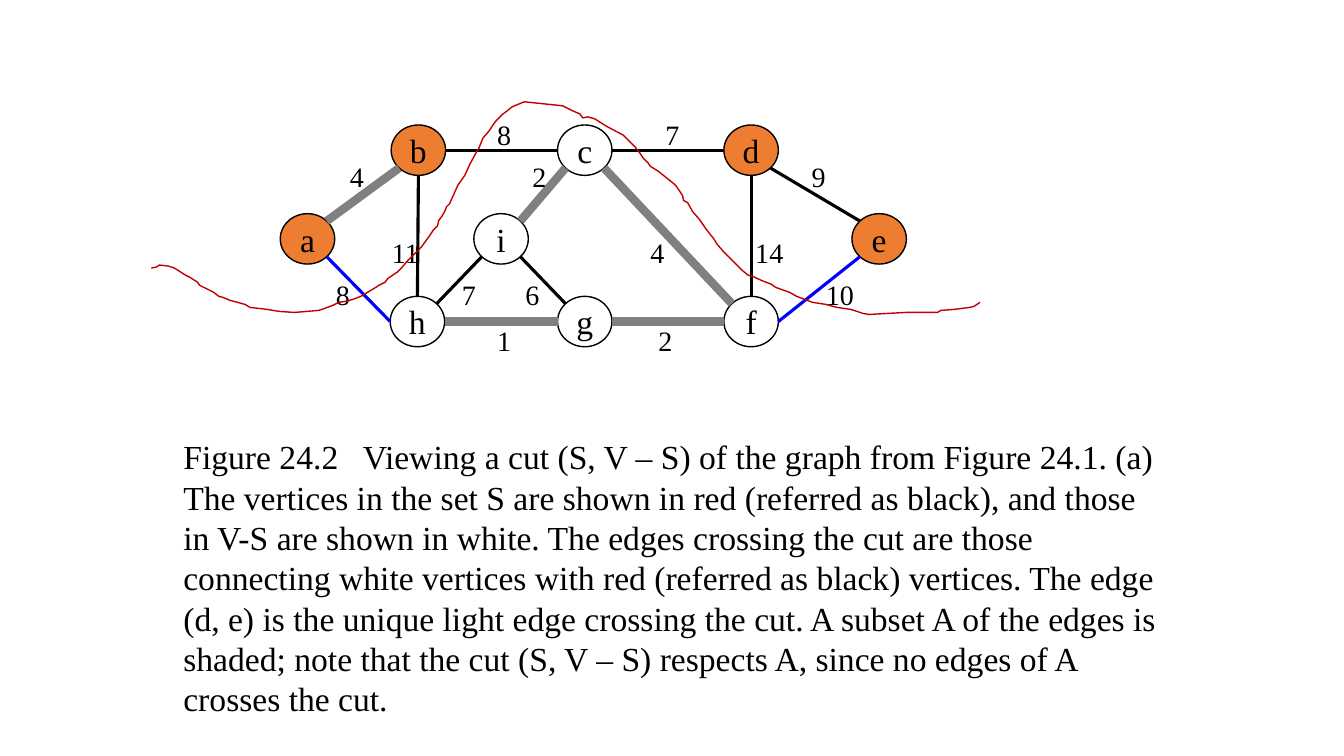
from dataclasses import dataclass
from math import cos, hypot, sin, radians

from lxml import etree
from pptx import Presentation
from pptx import util as u
from pptx.dml.color import RGBColor
from pptx.enum import shapes, text
from pptx.oxml.ns import qn


@dataclass(frozen=True)
class Theme:
    font: str = "Times New Roman"
    ink: str = "000000"
    white: str = "FFFFFF"
    inset: str = "ED7D31"
    shade: str = "808080"
    blue: str = "0000FF"
    cut: str = "C00000"
    big: int = 24
    small: int = 20
    thin: float = 1
    plain: float = 2.25
    thick: float = 6


T = Theme()
NODE_W, NODE_H = 0.54, 0.5
TOP, MID, LOW = 0.49, 1.37, 2.19

# Node: centre within the graph box
NODES = {
    "a": (1.55, MID), "h": (2.64, LOW), "c": (4.3, TOP),
    "g": (4.3, LOW), "d": (5.95, TOP), "i": (3.47, MID),
    "f": (5.95, LOW), "e": (7.22, MID), "b": (2.65, TOP),
}
IN_S = "abde"

ANGLES = {"E": 0, "SE": 45, "S": 90, "SW": 135,
          "W": 180, "NW": 225, "N": 270, "NE": 315}
SHADED = (T.shade, T.thick)
PLAIN = (T.ink, T.plain)
BLUE = (T.blue, T.plain)

# From node and side, to node and side, style, weight, centre of the weight
EDGES = [
    ("a", "NE", "b", "SW", SHADED, "4", (2.04, 0.75)),
    ("b", "E", "c", "W", PLAIN, "8", (3.5, 0.33)),
    ("c", "E", "d", "W", PLAIN, "7", (5.17, 0.33)),
    ("h", "E", "g", "W", SHADED, "1", (3.5, 2.38)),
    ("g", "E", "f", "W", SHADED, "2", (5.1, 2.38)),
    ("f", "E", "e", "SW", BLUE, "10", (6.83, 1.92)),
    ("a", "SE", "h", "W", BLUE, "8", (1.9, 1.92)),
    ("d", "SE", "e", "NW", PLAIN, "9", (6.62, 0.75)),
    ("i", "SE", "g", "NW", PLAIN, "6", (3.78, 1.92)),
    ("i", "SW", "h", "NE", PLAIN, "7", (3.15, 1.92)),
    ("c", "SW", "i", "NE", SHADED, "2", (3.85, 0.75)),
    ("h", "N", "b", "S", PLAIN, "11", (2.52, 1.5)),
    ("f", "N", "d", "S", PLAIN, "14", (6.13, 1.5)),
    ("c", "SE", "f", "NW", SHADED, "4", (5.02, 1.5)),
]

# Hundredths of an inch within the graph box
CUT = [
    (0, 166), (5, 165), (8, 163), (17, 164), (23, 166), (34, 173), (38, 175),
    (46, 180), (48, 183), (58, 188), (62, 190), (67, 194), (71, 195),
    (78, 198), (82, 199), (93, 202), (98, 205), (115, 207), (127, 209),
    (142, 210), (166, 208), (172, 206), (180, 203), (186, 200), (193, 199),
    (200, 197), (208, 194), (213, 191), (223, 185), (226, 183), (232, 180),
    (235, 176), (238, 174), (244, 170), (249, 165), (254, 159), (259, 154),
    (263, 150), (268, 145), (276, 134), (280, 128), (284, 124), (285, 119),
    (288, 115), (291, 110), (293, 105), (296, 102), (300, 93), (304, 84),
    (311, 74), (316, 63), (323, 50), (325, 47), (329, 37), (335, 30),
    (339, 24), (342, 20), (349, 13), (353, 10), (358, 6), (370, 1), (408, 5),
    (418, 10), (425, 13), (428, 17), (433, 16), (440, 18), (451, 25),
    (468, 34), (474, 40), (480, 46), (484, 51), (488, 57), (493, 62),
    (495, 65), (503, 70), (518, 82), (521, 85), (527, 94), (528, 99),
    (532, 101), (537, 110), (544, 118), (550, 127), (558, 137), (561, 142),
    (567, 149), (578, 160), (582, 164), (587, 169), (592, 173), (596, 174),
    (607, 179), (615, 182), (619, 185), (633, 190), (640, 194), (648, 197),
    (656, 200), (669, 202), (680, 205), (694, 207), (706, 211), (712, 212),
    (748, 210), (780, 210), (783, 208), (796, 207), (812, 205), (816, 204),
    (822, 200),
]

CAPTION = (
    "Figure 24.2\tViewing a cut (S, V – S) of the graph from Figure 24.1. (a) "
    "The vertices in the set S are shown in red (referred as black), and "
    "those in V-S are shown in white. The edges crossing the cut are those "
    "connecting white vertices with red (referred as black) vertices. The "
    "edge (d, e) is the unique light edge crossing the cut. A subset A of "
    "the edges is shaded; note that the cut (S, V – S) respects A, since no "
    "edges of A crosses the cut."
)


def color(code):
    return RGBColor.from_string(code)


def style(frame, size, align):
    para = frame.paragraphs[0]
    para.alignment = align
    for run in para.runs:
        run.font.size = u.Pt(size)
        run.font.name = T.font
        run.font.color.rgb = color(T.ink)


def stroke(line, code, width):
    line.color.rgb = color(code)
    line.width = u.Pt(width)


def bare(frame):
    """Remove the margins and the wrap of a text frame."""
    frame.margin_left = frame.margin_right = 0
    frame.margin_top = frame.margin_bottom = 0
    frame.word_wrap = False
    frame.vertical_anchor = text.MSO_ANCHOR.MIDDLE


def node(slide, name, x, y):
    oval = slide.shapes.add_shape(
        shapes.MSO_SHAPE.OVAL, u.Inches(x - NODE_W / 2),
        u.Inches(y - NODE_H / 2), u.Inches(NODE_W), u.Inches(NODE_H))
    oval.shadow.inherit = False
    oval.fill.solid()
    oval.fill.fore_color.rgb = color(T.inset if name in IN_S else T.white)
    stroke(oval.line, T.ink, T.thin)
    oval.text_frame.text = name
    bare(oval.text_frame)
    style(oval.text_frame, T.big, text.PP_ALIGN.CENTER)


def rim(name, side):
    """Give the point on a node's outline that faces a compass side."""
    x, y = NODES[name]
    turn = radians(ANGLES[side])
    return x + NODE_W / 2 * cos(turn), y + NODE_H / 2 * sin(turn)


def edge(slide, start, end, look):
    line = slide.shapes.add_connector(
        shapes.MSO_CONNECTOR.STRAIGHT, *map(u.Inches, start + end))
    stroke(line.line, *look)
    etree.SubElement(line._element.spPr, qn("a:effectLst"))


def weight(slide, value, x, y):
    wide, high = 0.4, 0.32
    box = slide.shapes.add_textbox(
        u.Inches(x - wide / 2), u.Inches(y - high / 2),
        u.Inches(wide), u.Inches(high))
    box.text_frame.text = value
    bare(box.text_frame)
    style(box.text_frame, T.small, text.PP_ALIGN.CENTER)


def curve(slide, left, top):
    pen = slide.shapes.build_freeform(*CUT[0], scale=u.Inches(0.01))
    pen.add_line_segments(CUT[1:], close=False)
    line = pen.convert_to_shape(u.Inches(left), u.Inches(top))
    line.shadow.inherit = False
    line.fill.background()
    stroke(line.line, T.cut, T.thin)


def graph(slide, left, top):
    def place(spot):
        return left + spot[0], top + spot[1]

    for name, spot in NODES.items():
        node(slide, name, *place(spot))
    for tail, out, head, into, look, value, spot in EDGES:
        edge(slide, place(rim(tail, out)), place(rim(head, into)), look)
    for *rest, value, spot in EDGES:
        weight(slide, value, *place(spot))
    curve(slide, left, top)


def caption(slide, left, top, wide, high):
    box = slide.shapes.add_textbox(*map(u.Inches, (left, top, wide, high)))
    frame = box.text_frame
    frame.word_wrap = True
    frame.auto_size = text.MSO_AUTO_SIZE.SHAPE_TO_FIT_TEXT
    frame.text = CAPTION
    props = frame.paragraphs[0]._p.get_or_add_pPr()
    tabs = etree.SubElement(props, qn("a:tabLst"))
    etree.SubElement(tabs, qn("a:tab"), pos=str(u.Inches(1.78)), algn="l")
    style(frame, T.big, text.PP_ALIGN.LEFT)


def main():
    deck = Presentation()
    deck.slide_width, deck.slide_height = u.Inches(13.33), u.Inches(7.5)
    slide = deck.slides.add_slide(deck.slide_layouts[6])
    caption(slide, 1.72, 4.28, 9.92, 2.93)
    graph(slide, 1.5, 1)
    deck.save("out.pptx")


if __name__ == "__main__":
    main()
